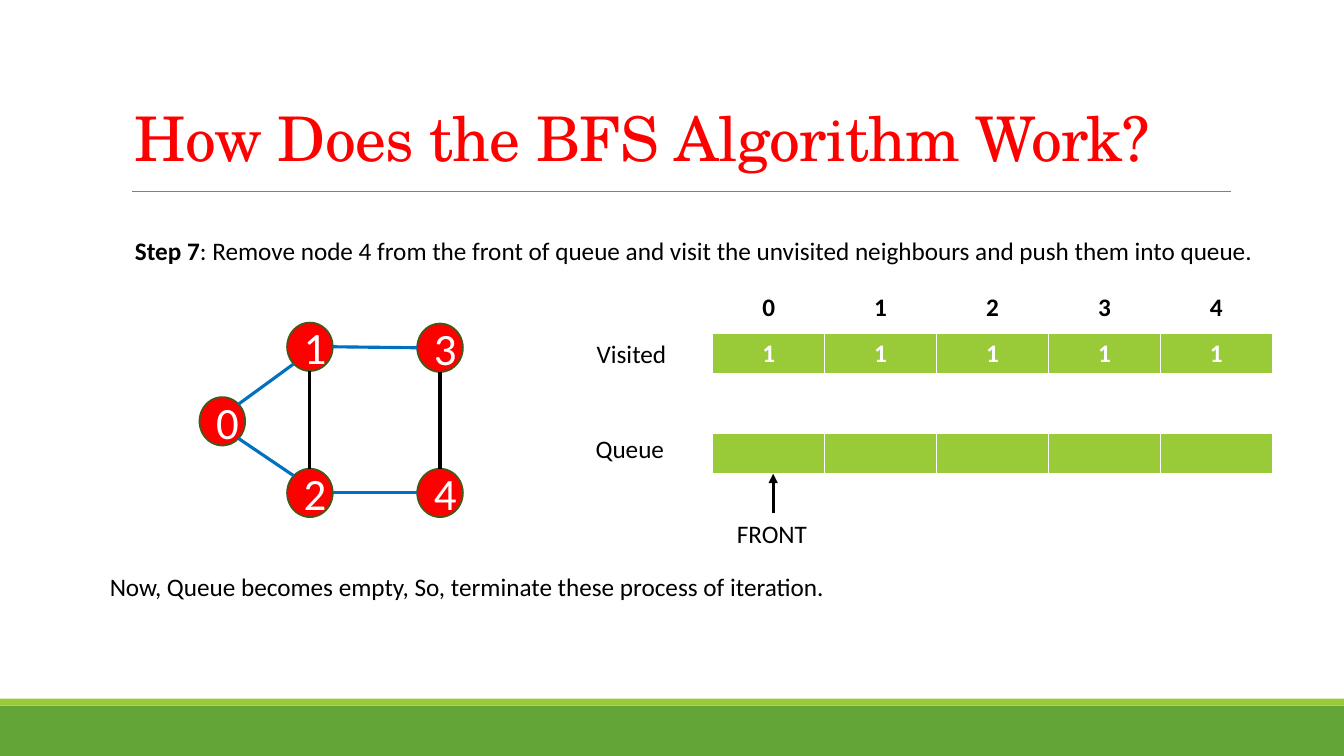
import math

from lxml import etree
from pptx import Presentation
from pptx.dml.color import RGBColor
from pptx.enum.shapes import MSO_CONNECTOR, MSO_SHAPE
from pptx.enum.text import MSO_ANCHOR, MSO_AUTO_SIZE, PP_ALIGN
from pptx.oxml.ns import qn
from pptx.util import Inches, Pt

STRAIGHT = MSO_CONNECTOR.STRAIGHT
RECTANGLE, OVAL = MSO_SHAPE.RECTANGLE, MSO_SHAPE.OVAL
TOP, MIDDLE, BOTTOM = MSO_ANCHOR.TOP, MSO_ANCHOR.MIDDLE, MSO_ANCHOR.BOTTOM
GROW = MSO_AUTO_SIZE.SHAPE_TO_FIT_TEXT
CENTER = PP_ALIGN.CENTER

RED, BLUE, BLACK, WHITE, GREY = "FF0000", "0070C0", "000000", "FFFFFF", "808080"
GREEN, LIME, OLIVE = "63A537", "99CB38", "435919"

BODY = {"name": "Calibri", "size": Pt(18), "color": BLACK}
BOLD = {**BODY, "bold": True}
CELL = {**BOLD, "color": WHITE}
NODE = {**BODY, "size": Pt(32), "color": WHITE}
TITLE = {"name": "TeX Gyre Schola", "size": Pt(44), "color": RED}

# Node centres on the grid; an edge is (start, end, colour).
NODE_WIDTH, NODE_HEIGHT = 3.4, 6.4
NODES = {"0": (16.54, 55.73), "1": (23.06, 45.87), "2": (23.06, 65.2),
         "3": (32.74, 46), "4": (32.74, 65.2)}
EDGES = [("1", "0", BLUE), ("2", "0", BLUE), ("2", "4", BLUE),
         ("1", "3", BLUE), ("3", "4", BLACK), ("1", "2", BLACK)]

ROW_LEFT, ROW_WIDTH, ROW_HEIGHT = 53.03, 41.63, 5.47
ARRAYS = [(38, "01234", BOLD, None), (44.13, "11111", CELL, LIME),
          (57.33, [""] * 5, CELL, LIME)]
LABELS = [("Visited", 43.65, 44.13, 6.75), ("Queue", 43.58, 56.67, 6.68),
          ("FRONT", 54.08, 67.87, 6.75),
          ("Now, Queue becomes empty, So, terminate these process of iteration.",
           7.43, 74.93, 54.83)]
STEP = [("Step 7", BOLD),
        (": Remove node 4 from the front of queue and visit the unvisited "
         "neighbours and push them into queue.", BODY)]


def color(value):
    return RGBColor.from_string(value)


class SlideBuilder:
    """Draws on one slide divided into 100 columns and 100 rows."""

    def __init__(self, presentation):
        self.column = presentation.slide_width / 100
        self.row = presentation.slide_height / 100
        self.slide = presentation.slides.add_slide(presentation.slide_layouts[6])
        self.shapes = self.slide.shapes

    def place(self, *lengths):
        """Turn alternating columns and rows into slide lengths."""
        units = (self.column, self.row) * 2
        return [round(length * unit) for length, unit in zip(lengths, units)]

    def add_styled_run(self, paragraph, text, style):
        run = paragraph.add_run()
        run.text = text
        for name, value in style.items():
            if name == "color":
                run.font.color.rgb = color(value)
            else:
                setattr(run.font, name, value)
        return run

    def shape(self, kind, box, fill, outline=None):
        shape = self.shapes.add_shape(kind, *self.place(*box))
        shape.shadow.inherit = False
        shape.fill.solid()
        shape.fill.fore_color.rgb = color(fill)
        if outline:
            shape.line.color.rgb = color(outline)
            shape.line.width = Pt(1.25)
        else:
            shape.line.fill.background()
        return shape

    def line(self, start, end, stroke, width=2.25, arrow=False):
        connector = self.shapes.add_connector(STRAIGHT, *self.place(*start, *end))
        connector.line.color.rgb = color(stroke)
        connector.line.width = Pt(width)
        properties = connector._element.spPr
        if arrow:
            etree.SubElement(properties.find(qn("a:ln")), qn("a:tailEnd"), type="triangle")
        etree.SubElement(properties, qn("a:effectLst"))

    def text(self, box, runs):
        frame = self.shapes.add_textbox(*self.place(*box)).text_frame
        frame.word_wrap = False
        frame.auto_size = GROW
        for text, style in runs:
            self.add_styled_run(frame.paragraphs[0], text, style)

    def title(self, box, text):
        frame = self.shapes.add_textbox(*self.place(*box)).text_frame
        frame.word_wrap = True
        frame.vertical_anchor = BOTTOM
        paragraph = frame.paragraphs[0]
        paragraph.line_spacing = 0.85
        run = self.add_styled_run(paragraph, text, TITLE)
        run._r.get_or_add_rPr().set("spc", "-50")

    def node(self, label, center):
        left, top = center[0] - NODE_WIDTH / 2, center[1] - NODE_HEIGHT / 2
        shape = self.shape(OVAL, (left, top, NODE_WIDTH, NODE_HEIGHT), RED, OLIVE)
        shape.text_frame.vertical_anchor = MIDDLE
        paragraph = shape.text_frame.paragraphs[0]
        paragraph.alignment = CENTER
        self.add_styled_run(paragraph, label, NODE)

    def edge(self, start, end, stroke):
        """Join two nodes at the rim points nearest to a multiple of 45 degrees."""
        angle = math.atan2(end[1] - start[1], end[0] - start[0])
        angle = round(angle / (math.pi / 4)) * math.pi / 4
        across = math.cos(angle) * NODE_WIDTH / 2
        down = math.sin(angle) * NODE_HEIGHT / 2
        self.line((start[0] + across, start[1] + down),
                  (end[0] - across, end[1] - down), stroke)

    def border(self, cell):
        properties = cell._tc.get_or_add_tcPr()
        for side, width in (("L", 1), ("R", 1), ("T", 1), ("B", 3)):
            line = etree.SubElement(properties, qn(f"a:ln{side}"), w=str(Pt(width)))
            fill = etree.SubElement(line, qn("a:solidFill"))
            etree.SubElement(fill, qn("a:srgbClr"), val=WHITE)

    def array(self, top, values, style, fill):
        """Draw a table of one row, with one cell for each value."""
        box = self.place(ROW_LEFT, top, ROW_WIDTH, ROW_HEIGHT)
        table = self.shapes.add_table(1, len(values), *box).table
        table.first_row = table.horz_banding = False
        for cell, value in zip(table.iter_cells(), values):
            self.border(cell)
            if fill:
                cell.fill.solid()
                cell.fill.fore_color.rgb = color(fill)
            else:
                cell.fill.background()
            cell.vertical_anchor = TOP
            paragraph = cell.text_frame.paragraphs[0]
            paragraph.alignment = CENTER
            if value:
                self.add_styled_run(paragraph, value, style)


def main():
    presentation = Presentation()
    presentation.slide_width = Inches(13.33)
    presentation.slide_height = Inches(7.5)
    builder = SlideBuilder(presentation)

    builder.shape(RECTANGLE, (0, 93.33, 100, 6.67), GREEN)
    builder.shape(RECTANGLE, (0, 92.4, 100, 0.93), LIME)
    builder.line((9.83, 25.33), (91.58, 25.33), GREY, 0.5)
    builder.title((9.3, 2.53, 85.95, 21.2), "How Does the BFS Algorithm Work?")
    builder.text((9.3, 30.53, 87.15, 5.33), STEP)

    for label, center in NODES.items():
        builder.node(label, center)
    for start, end, stroke in EDGES:
        builder.edge(NODES[start], NODES[end], stroke)

    for array in ARRAYS:
        builder.array(*array)
    for text, left, top, width in LABELS:
        builder.text((left, top, width, 5.33), [(text, BODY)])
    builder.line((57.53, 67.87), (57.53, 62.67), BLACK, arrow=True)

    presentation.save("out.pptx")


if __name__ == "__main__":
    main()
